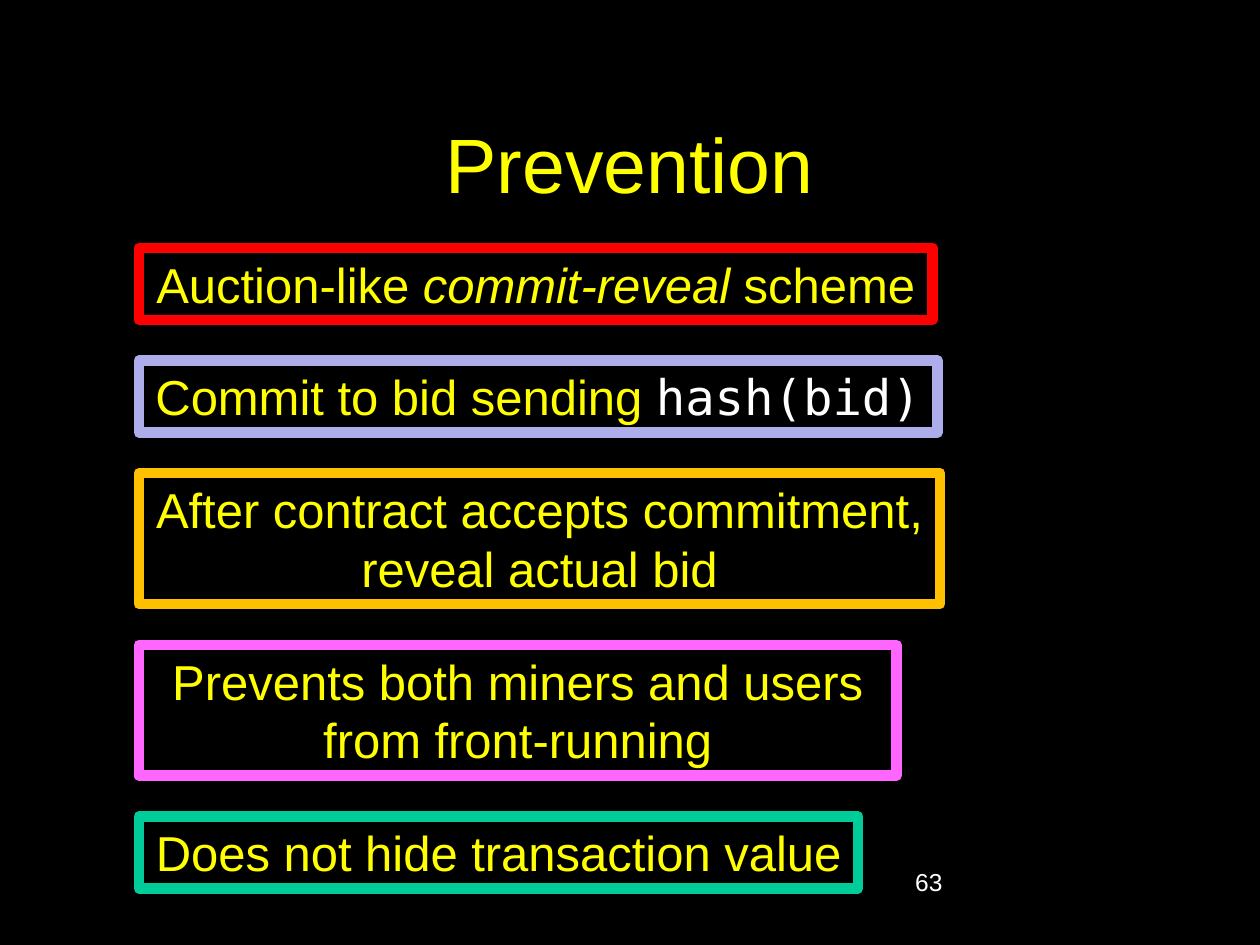
from dataclasses import dataclass

from pptx import Presentation
from pptx.dml.color import RGBColor
from pptx.enum.shapes import MSO_SHAPE
from pptx.enum.text import MSO_ANCHOR, MSO_AUTO_SIZE, PP_ALIGN
from pptx.util import Cm, Pt


@dataclass(frozen=True)
class Theme:
    background: str = "000000"
    text: str = "FFFF00"
    plain: str = "FFFFFF"
    red: str = "FF0000"
    lavender: str = "ADADEB"
    amber: str = "FFC000"
    pink: str = "FF66FF"
    green: str = "00CC99"
    font: str = "Arial"
    code_font: str = "DejaVu Sans Mono"
    title_size: int = 44
    point_size: int = 28
    number_size: int = 14
    border: int = 6


THEME = Theme()
ONE_LINE, TWO_LINES, GAP = 1.45, 2.64, 0.82

POINTS = [
    (THEME.red, 16, ONE_LINE, False,
     [[("Auction-like ", ""), ("commit-reveal", "italic"), (" scheme", "")]]),
    (THEME.lavender, 16.1, ONE_LINE, False,
     [[("Commit to bid sending ", ""), ("hash(bid)", "code")]]),
    (THEME.amber, 16.15, TWO_LINES, False,
     [[("After contract accepts commitment,", "")], [("reveal actual bid", "")]]),
    (THEME.pink, 15.27, TWO_LINES, True,
     [[("Prevents both miners and users from front-running", "")]]),
    (THEME.green, 14.5, ONE_LINE, False,
     [[("Does not hide transaction value", "")]]),
]


def style(run, size, color=THEME.text, font=THEME.font):
    run.font.size = Pt(size)
    run.font.name = font
    run.font.color.rgb = RGBColor.from_string(color)


def add_label(slide, box, wording, size, color, align, anchor):
    label = slide.shapes.add_textbox(*map(Cm, box))
    frame = label.text_frame
    frame.word_wrap = True
    frame.vertical_anchor = anchor
    frame.text = wording
    frame.paragraphs[0].alignment = align
    style(frame.paragraphs[0].runs[0], size, color)


def add_point(slide, box, border, wrap, lines):
    point = slide.shapes.add_shape(MSO_SHAPE.RECTANGLE, *map(Cm, box))
    point.shadow.inherit = False
    point.fill.solid()
    point.fill.fore_color.rgb = RGBColor.from_string(THEME.background)
    point.line.color.rgb = RGBColor.from_string(border)
    point.line.width = Pt(THEME.border)
    frame = point.text_frame
    frame.word_wrap = wrap
    frame.auto_size = MSO_AUTO_SIZE.SHAPE_TO_FIT_TEXT
    frame.vertical_anchor = MSO_ANCHOR.TOP
    for index, line in enumerate(lines):
        paragraph = frame.add_paragraph() if index else frame.paragraphs[0]
        paragraph.alignment = PP_ALIGN.CENTER
        for wording, kind in line:
            run = paragraph.add_run()
            run.text = wording
            if kind == "code":
                style(run, THEME.point_size, THEME.plain, THEME.code_font)
            else:
                style(run, THEME.point_size)
                run.font.italic = kind == "italic"


def add_points(slide, left, top):
    for border, width, height, wrap, lines in POINTS:
        add_point(slide, (left, top, width, height), border, wrap, lines)
        top += height + GAP


def main():
    deck = Presentation()
    deck.slide_width, deck.slide_height = Cm(25.4), Cm(19.05)
    slide = deck.slides.add_slide(deck.slide_layouts[6])
    slide.background.fill.solid()
    slide.background.fill.fore_color.rgb = RGBColor.from_string(THEME.background)
    add_label(slide, (1.9, 1.7, 21.6, 3.18), "Prevention", THEME.title_size,
              THEME.text, PP_ALIGN.CENTER, MSO_ANCHOR.MIDDLE)
    add_label(slide, (18.2, 17.35, 5.3, 1.27), "63", THEME.number_size,
              THEME.plain, PP_ALIGN.LEFT, MSO_ANCHOR.TOP)
    add_points(slide, 2.8, 5)
    deck.save("out.pptx")


if __name__ == "__main__":
    main()
